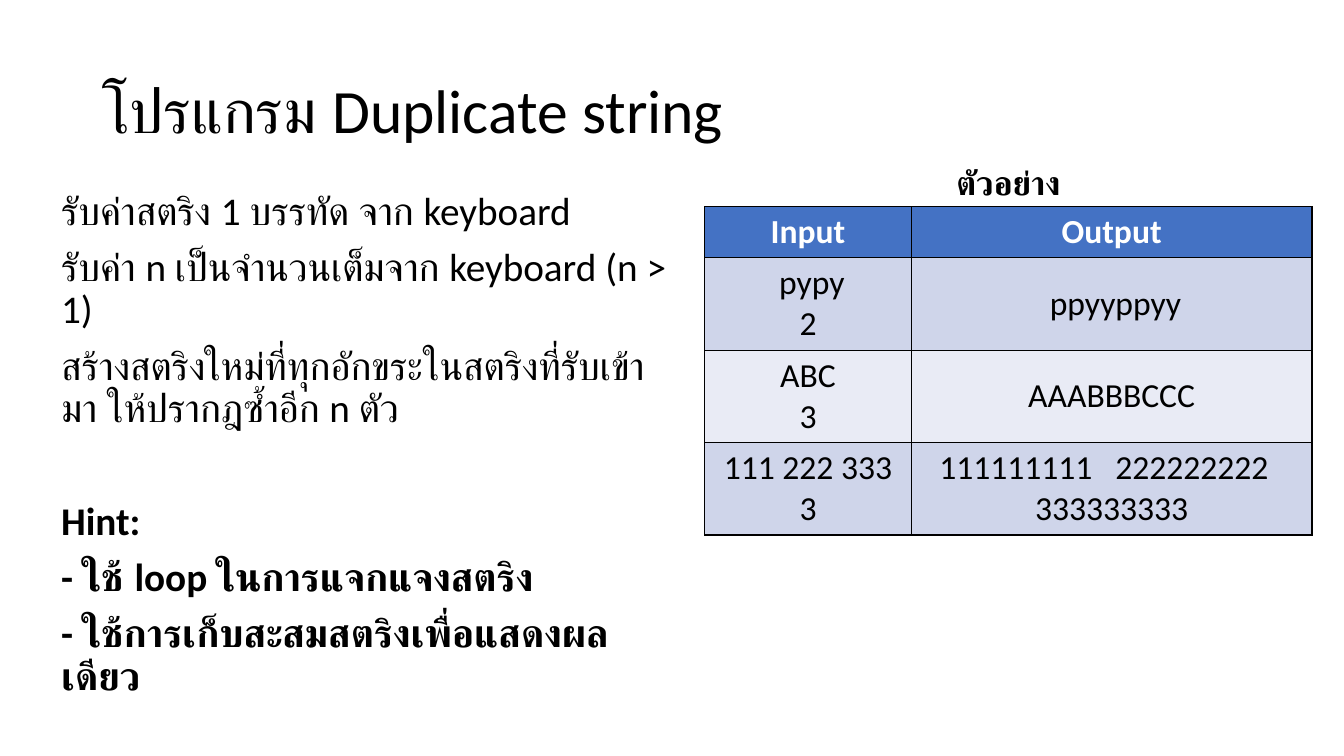
from dataclasses import dataclass

from lxml.etree import SubElement
from pptx import Presentation
from pptx.dml.color import RGBColor
from pptx.enum.text import MSO_ANCHOR, PP_ALIGN
from pptx.oxml.ns import qn
from pptx.util import Emu, Inches, Pt

COLORS = {
    "black": "000000",
    "white": "FFFFFF",
    "header": "4472C4",
    "odd": "CFD5EA",
    "even": "E9EBF5",
}
FONT = "Calibri"
GRID_COLS, GRID_ROWS = 160, 90


@dataclass
class Line:
    text: str
    bold: bool = False
    before: float = 0


@dataclass
class Box:
    col: float
    row: float
    cols: float
    rows: float
    size: float
    lines: list[Line]
    align: PP_ALIGN = PP_ALIGN.LEFT
    anchor: MSO_ANCHOR = MSO_ANCHOR.TOP
    spacing: float = 1.0


@dataclass
class Row:
    inputs: list[str]
    output: str
    fill: str


prs = Presentation()
prs.slide_width, prs.slide_height = Inches(13.33), Inches(7.5)


def across(cols: float) -> Emu:
    return Emu(round(prs.slide_width * cols / GRID_COLS))


def down(rows: float) -> Emu:
    return Emu(round(prs.slide_height * rows / GRID_ROWS))


def write(tf, lines: list[Line], size: float, align: PP_ALIGN,
          color: str = "black", spacing: float = 1.0) -> None:
    for i, line in enumerate(lines):
        p = tf.add_paragraph() if i else tf.paragraphs[0]
        p.alignment = align
        p.line_spacing = spacing
        p.space_before = Pt(line.before)
        r = p.add_run()
        r.text = line.text
        r.font.name = FONT
        r.font.size = Pt(size)
        r.font.bold = line.bold
        r.font.color.rgb = RGBColor.from_string(COLORS[color])


def draw_box(s, box: Box) -> None:
    sp = s.shapes.add_textbox(across(box.col), down(box.row),
                              across(box.cols), down(box.rows))
    tf = sp.text_frame
    tf.word_wrap = True
    tf.vertical_anchor = box.anchor
    write(tf, box.lines, box.size, box.align, spacing=box.spacing)


def draw_cell(cell, texts: list[str], fill: str) -> None:
    header = fill == "header"
    cell.vertical_anchor = MSO_ANCHOR.MIDDLE
    write(cell.text_frame, [Line(text, header) for text in texts], 24,
          PP_ALIGN.CENTER, "white" if header else "black")
    tc_pr = cell._tc.get_or_add_tcPr()
    for side in ("a:lnL", "a:lnR", "a:lnT", "a:lnB"):
        ln = SubElement(tc_pr, qn(side), w=str(Pt(1)))
        solid = SubElement(ln, qn("a:solidFill"))
        SubElement(solid, qn("a:srgbClr"), val=COLORS["black"])
    cell.fill.solid()
    cell.fill.fore_color.rgb = RGBColor.from_string(COLORS[fill])


def draw_table(s, col: float, row: float, widths: list[float],
               heights: list[float], rows: list[Row]) -> None:
    table = s.shapes.add_table(len(rows), len(widths), across(col), down(row),
                               across(sum(widths)), down(sum(heights))).table
    for column, width in zip(table.columns, widths):
        column.width = across(width)
    for i, (item, height) in enumerate(zip(rows, heights)):
        table.rows[i].height = down(height)
        draw_cell(table.cell(i, 0), item.inputs, item.fill)
        draw_cell(table.cell(i, 1), [item.output], item.fill)


TABLE_COL, TABLE_WIDTHS = 83.9, [24.6, 47.7]

BOXES = [
    Box(11, 4.8, 138, 17.4, 44, [Line("โปรแกรม Duplicate string")],
        anchor=MSO_ANCHOR.MIDDLE, spacing=0.9),
    Box(6.1, 22.2, 76, 59.5, 28, [
        Line("รับค่าสตริง 1 บรรทัด จาก keyboard", before=10),
        Line("รับค่า n เป็นจำนวนเต็มจาก keyboard (n > 1)", before=10),
        Line("สร้างสตริงใหม่ที่ทุกอักขระในสตริงที่รับเข้ามา ให้ปรากฎซ้ำอีก n ตัว", before=10),
        Line("Hint:", True, 50),
        Line("- ใช้ loop ในการแจกแจงสตริง", True, 10),
        Line("- ใช้การเก็บสะสมสตริงเพื่อแสดงผลเดียว", True, 10),
    ], spacing=0.9),
    Box(TABLE_COL, 18.7, sum(TABLE_WIDTHS), 6, 24, [Line("ตัวอย่าง", True)],
        PP_ALIGN.CENTER),
]

EXAMPLES = [
    Row(["Input"], "Output", "header"),
    Row([" pypy", "2"], " ppyyppyy", "odd"),
    Row(["ABC", "3"], "AAABBBCCC", "even"),
    Row(["111 222 333", "3"], "111111111   222222222   333333333", "odd"),
]


def main() -> None:
    s = prs.slides.add_slide(prs.slide_layouts[6])
    for box in BOXES:
        draw_box(s, box)
    draw_table(s, TABLE_COL, 24.6, TABLE_WIDTHS, [6.1, 11, 11, 11], EXAMPLES)
    prs.save("out.pptx")


if __name__ == "__main__":
    main()
